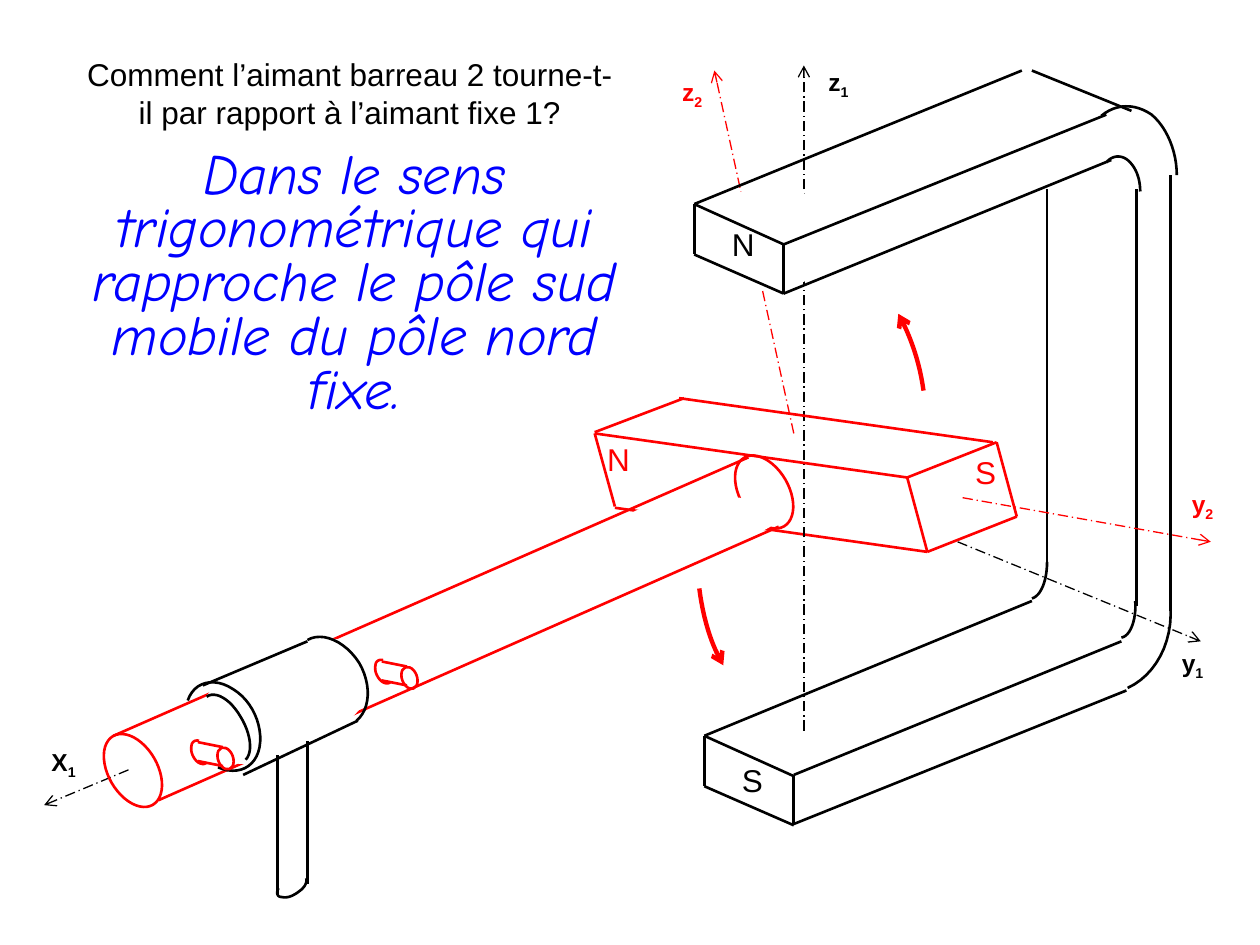
from dataclasses import dataclass
from itertools import pairwise

from lxml.etree import SubElement
from pptx import Presentation
from pptx.dml.color import RGBColor as RGB
from pptx.enum.dml import MSO_LINE
from pptx.enum.shapes import MSO_CONNECTOR as CONNECTOR, MSO_SHAPE as SHAPE
from pptx.enum.text import MSO_ANCHOR as ANCHOR, MSO_AUTO_SIZE as FIT, PP_ALIGN as ALIGN
from pptx.oxml.ns import qn
from pptx.util import Pt

PX = 9144
CURVE_STEPS = 12


@dataclass(frozen=True)
class Theme:
    black: RGB = RGB(0, 0, 0)
    white: RGB = RGB(255, 255, 255)
    red: RGB = RGB(255, 0, 0)
    label_red: RGB = RGB(254, 0, 0)
    blue: RGB = RGB(0, 0, 255)
    font: str = "Arial"
    answer_font: str = "Comic Neue"
    question_size: int = 18
    answer_size: int = 32
    pole_size: int = 18
    axis_size: int = 14
    edge: float = 1.5
    axis: float = 0.75
    motion: float = 2.5


class Sketch:
    """Draws the parts of the magnet diagram on one slide."""

    def __init__(self, slide, theme):
        self.slide, self.theme = slide, theme

    def stroke(self, shape, color, width, **ends):
        shape.line.color.rgb = color
        shape.line.width = Pt(width)
        outline = shape._element.spPr.find(qn("a:ln"))
        for end, kind in ends.items():
            SubElement(outline, qn(f"a:{end}"), type=kind)

    def line(self, start, finish, color, width=None, dashed=False, **ends):
        edge = self.slide.shapes.add_connector(
            CONNECTOR.STRAIGHT, *(value * PX for value in (*start, *finish)))
        if dashed:
            edge.line.dash_style = MSO_LINE.LONG_DASH_DOT
        self.stroke(edge, color, width or self.theme.edge, **ends)
        SubElement(edge._element.spPr, qn("a:effectLst"))

    def axis(self, start, finish, color):
        self.line(start, finish, color, self.theme.axis, True, tailEnd="arrow")

    def face(self, corners, color):
        for start, finish in pairwise([*corners, corners[0]]):
            self.line(start, finish, color)

    def ellipse(self, box, rotation, color=None):
        oval = self.slide.shapes.add_shape(SHAPE.OVAL, *(value * PX for value in box))
        oval.rotation = rotation
        oval.shadow.inherit = False
        if color:
            oval.fill.background()
            self.stroke(oval, color, self.theme.edge)
        else:
            oval.fill.solid()
            oval.fill.fore_color.rgb = self.theme.white
            oval.line.fill.background()

    def curve(self, points, color, width=None, **ends):
        trace = [points[0]]
        for first in range(0, len(points) - 1, 3):
            controls = points[first:first + 4]
            for step in range(1, CURVE_STEPS + 1):
                t = step / CURVE_STEPS
                weights = ((1 - t) ** 3, 3 * t * (1 - t) ** 2, 3 * t * t * (1 - t), t ** 3)
                trace.append(tuple(sum(w * c for w, c in zip(weights, axis))
                                   for axis in zip(*controls)))
        start, *rest = [(round(x * PX), round(y * PX)) for x, y in trace]
        builder = self.slide.shapes.build_freeform(*start, scale=1.0)
        builder.add_line_segments(rest, close=False)
        arc = builder.convert_to_shape()
        arc.fill.background()
        arc.shadow.inherit = False
        self.stroke(arc, color, width or self.theme.edge, **ends)

    def lettering(self, holder, text, color, wrap=True, fit=FIT.NONE, anchor=ANCHOR.TOP,
                  spacing=1.0, subscript="", **style):
        frame = holder.text_frame
        for name, value in dict(word_wrap=wrap, auto_size=fit, vertical_anchor=anchor).items():
            setattr(frame, name, value)
        paragraph = frame.paragraphs[0]
        for name, value in dict(alignment=ALIGN.CENTER, line_spacing=spacing).items():
            setattr(paragraph, name, value)
        for part in filter(None, (text, subscript)):
            run = paragraph.add_run()
            run.text = part
            for name, value in style.items():
                setattr(run.font, name, value)
            run.font.color.rgb = color
        if subscript:
            run._r.get_or_add_rPr().set("baseline", "-25000")

    def title(self, box, text):
        question = self.slide.shapes.title
        for name, value in zip(("left", "top", "width", "height"), box):
            setattr(question, name, value * PX)
        self.lettering(question, text, self.theme.black, anchor=ANCHOR.MIDDLE,
                       name=self.theme.font, size=Pt(self.theme.question_size))

    def text(self, box, text, color, **options):
        holder = self.slide.shapes.add_textbox(*(value * PX for value in box))
        self.lettering(holder, text, color, **options)

    def pole(self, x, y, letter, color):
        self.text((x, y, 36, 40), letter, color, wrap=False, fit=FIT.SHAPE_TO_FIT_TEXT,
                  name=self.theme.font, size=Pt(self.theme.pole_size))

    def axis_name(self, x, y, width, letter, index, color):
        self.text((x, y, width, 37), letter, color, wrap=False, fit=FIT.SHAPE_TO_FIT_TEXT,
                  subscript=index, name=self.theme.font, size=Pt(self.theme.axis_size), bold=True)


def draw_shaft_and_axes(sketch, theme):
    sketch.ellipse((587, 359, 39, 63), 330, theme.red)
    sketch.line((488, 403), (736, 438), theme.red)
    sketch.ellipse((537, 350, 37, 126), 266.1)
    sketch.line((126, 635), (618, 418), theme.red)
    sketch.line((90, 584), (594, 363), theme.red)
    sketch.ellipse((148, 515, 155, 83), 335.2)
    sketch.axis((630, 344), (567, 56), theme.red)
    sketch.axis((638, 580), (638, 52), theme.black)
    sketch.ellipse((563, 147, 98, 83), 0)
    sketch.axis((102, 611), (35, 639), theme.black)
    sketch.axis((760, 430), (953, 509), theme.black)


def draw_fixed_magnet(sketch, theme):
    for x, y in ((551, 162), (559, 584)):
        sketch.face([(x, y), (x + 71, y + 32), (x + 71, y + 71), (x, y + 40)], theme.black)
    for start, finish in (
            ((622, 194), (878, 91)), ((551, 162), (811, 56)), ((622, 233), (882, 127)),
            ((902, 481), (902, 150)), ((929, 485), (929, 139)), ((819, 56), (898, 88)),
            ((630, 615), (890, 509)), ((559, 584), (819, 477)), ((630, 654), (894, 548)),
            ((831, 450), (831, 150))):
        sketch.line(start, finish, theme.black)
    for bend in (
            [(878, 129), (883, 123), (890, 123), (895, 127), (901, 132), (905, 141), (905, 152)],
            [(874, 92), (886, 82), (901, 82), (914, 91), (926, 101), (934, 120), (934, 139)],
            [(901, 477), (902, 492), (897, 505), (890, 506)],
            [(929, 481), (931, 510), (917, 536), (895, 546)],
            [(831, 446), (831, 461), (826, 473), (819, 475)]):
        sketch.curve(bend, theme.black)


def draw_bar_magnet(sketch, theme):
    sketch.axis((764, 395), (961, 430), theme.red)
    sketch.face([(720, 379), (791, 351), (807, 410), (736, 438)], theme.red)
    for start, finish in (
            ((539, 316), (788, 351)), ((472, 344), (720, 379)),
            ((472, 343), (543, 316)), ((488, 402), (472, 344))):
        sketch.line(start, finish, theme.red)


def draw_bearing(sketch, theme):
    sketch.ellipse((86, 580, 39, 63), 330, theme.red)
    for start, finish in (
            ((193, 615), (284, 572)), ((161, 544), (244, 509)),
            ((244, 702), (244, 588)), ((220, 710), (220, 599))):
        sketch.line(start, finish, theme.black)
    for rim in (
            [(244, 508), (256, 501), (274, 509), (285, 526), (295, 543), (294, 563), (283, 572)],
            [(149, 556), (154, 541), (170, 537), (185, 547), (200, 556),
             (209, 576), (206, 593), (203, 609), (189, 616), (173, 609)],
            [(164, 553), (171, 548), (183, 555), (191, 569), (199, 582), (201, 597), (195, 603)],
            [(221, 705), (219, 709), (220, 712), (224, 712), (228, 713),
             (233, 711), (238, 707), (242, 704), (244, 700), (243, 697)]):
        sketch.curve(rim, theme.black)
    pin_root = [(11, 18), (10, 20), (6, 20), (3, 17), (0, 14),
                (-2, 9), (-1, 5), (-1, 2), (2, 0), (5, 1)]
    for x, y in ((299, 523), (153, 587)):
        sketch.ellipse((x + 20, y + 6, 12, 18), 339.4, theme.red)
        for drop in (2, 17):
            sketch.line((x + 4, y + drop), (x + 24, y + drop + 4), theme.red)
        sketch.curve([(x + dx, y + dy) for dx, dy in pin_root], theme.red)


def draw_labels(sketch, theme):
    for x, y, letter, color in (
            (571, 174, "N", theme.black), (579, 599, "S", theme.black),
            (764, 355, "S", theme.label_red), (472, 344, "N", theme.label_red)):
        sketch.pole(x, y, letter, color)
    for x, y, width, letter, index, color in (
            (27, 588, 47, "X", "1", theme.black), (925, 509, 43, "y", "1", theme.black),
            (646, 48, 39, "z", "1", theme.black), (933, 383, 43, "y", "2", theme.label_red),
            (528, 56, 43, "z", "2", theme.label_red)):
        sketch.axis_name(x, y, width, letter, index, color)


def main():
    theme = Theme()
    deck = Presentation()
    deck.slide_width, deck.slide_height = 1000 * PX, 750 * PX
    sketch = Sketch(deck.slides.add_slide(deck.slide_layouts[5]), theme)
    sketch.title((59, 32, 437, 83),
                 "Comment l’aimant barreau 2 tourne-t-il par rapport à l’aimant fixe 1?")
    for draw in (draw_shaft_and_axes, draw_fixed_magnet, draw_bar_magnet,
                 draw_bearing, draw_labels):
        draw(sketch, theme)
    sketch.text((51, 115, 461, 146),
                "Dans le sens trigonométrique qui rapproche le pôle sud mobile du pôle nord fixe.",
                theme.blue, spacing=0.8, name=theme.answer_font,
                size=Pt(theme.answer_size), italic=True)
    for turn in ([(713, 249), (723, 267), (730, 288), (733, 310)],
                 [(574, 528), (564, 511), (558, 490), (555, 467)]):
        sketch.curve(turn, theme.red, theme.motion, headEnd="arrow")
    deck.save("out.pptx")


if __name__ == "__main__":
    main()
